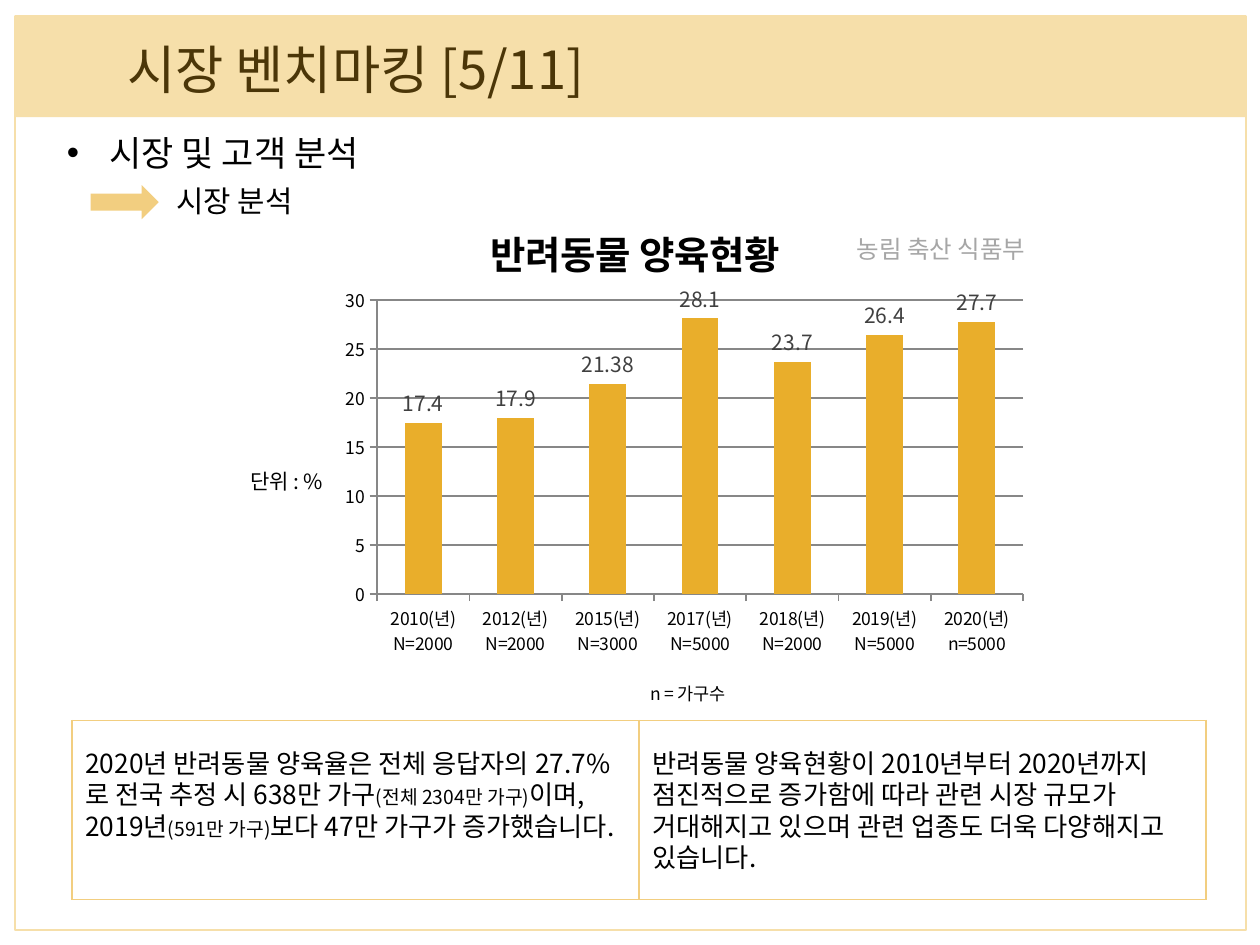
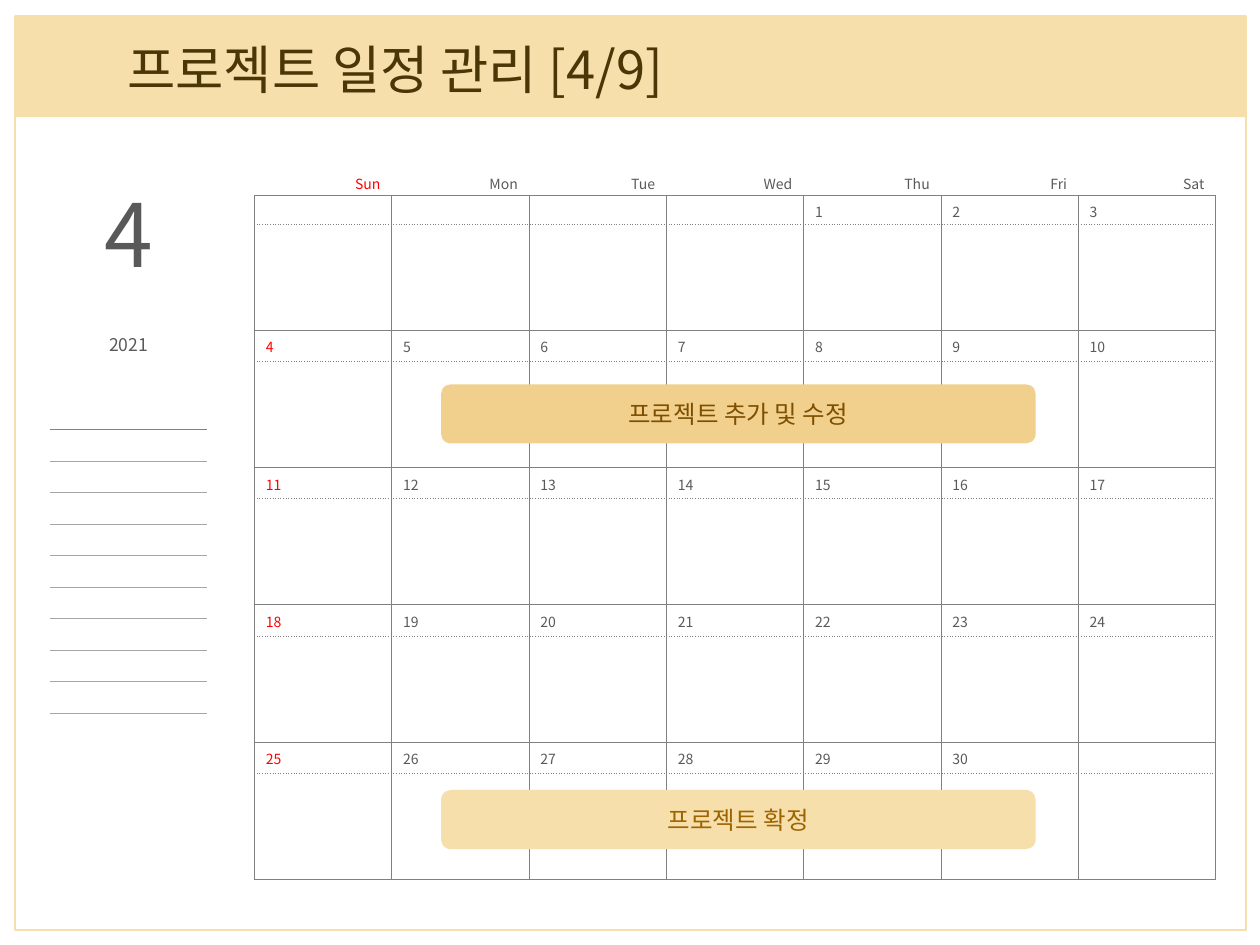
import pptx
import pptx.chart.data
import pptx.dml.color
import pptx.enum.chart
import pptx.enum.shapes
import pptx.enum.text
import pptx.oxml
import pptx.oxml.ns
import pptx.util
from lxml import etree

Inches = pptx.util.Inches
Pt = pptx.util.Pt
qn = pptx.oxml.ns.qn
SHAPE = pptx.enum.shapes.MSO_SHAPE
ALIGN = pptx.enum.text.PP_ALIGN
ANCHOR = pptx.enum.text.MSO_ANCHOR

FONT = "Noto Sans CJK KR"
COLORS = {
    "band": "F6DFAA",
    "title": "4B3608",
    "gold": "F2CE80",
    "bar": "E9AE2B",
    "edit_bar": "F1D08D",
    "edit_text": "7E4F01",
    "final_text": "9E6401",
    "text": "000000",
    "label": "404040",
    "calendar": "595959",
    "sunday": "FF0000",
    "grid": "808080",
    "rule": "A6A6A6",
    "axis": "878787",
}


def rgb(name):
    return pptx.dml.color.RGBColor.from_string(COLORS[name])


def box(left, top, width, height):
    return Inches(left), Inches(top), Inches(width), Inches(height)


def style_font(font, size, color, bold=False):
    font.name = FONT
    font.size = Pt(size)
    font.bold = bold
    font.color.rgb = rgb(color)


def add_run(paragraph, text, size, color="text", bold=False):
    run = paragraph.add_run()
    run.text = text
    style_font(run.font, size, color, bold)


def add_east_asian_font(element):
    """Give Hangul the same typeface as Latin text."""
    for latin in list(element.iter(qn("a:latin"))):
        east_asian = etree.Element(qn("a:ea"), typeface=FONT)
        latin.addnext(east_asian)


def add_shape(slide, kind, place, fill=None, line=None):
    shape = slide.shapes.add_shape(kind, *box(*place))
    shape.shadow.inherit = False
    if fill:
        shape.fill.solid()
        shape.fill.fore_color.rgb = rgb(fill)
    else:
        shape.fill.background()
    if line:
        shape.line.color.rgb = rgb(line)
        shape.line.width = Pt(1.5)
    else:
        shape.line.fill.background()
    return shape


def add_text(slide, place, runs, align=ALIGN.LEFT, wrap=True):
    """Add a one-paragraph text box from (text, size, color) runs."""
    frame = slide.shapes.add_textbox(*box(*place)).text_frame
    frame.word_wrap = wrap
    paragraph = frame.paragraphs[0]
    paragraph.alignment = align
    for run in runs:
        add_run(paragraph, *run)
    return frame


def place_placeholder(placeholder, place):
    placeholder.left, placeholder.top, placeholder.width, placeholder.height = box(*place)
    frame = placeholder.text_frame
    frame.auto_size = pptx.enum.text.MSO_AUTO_SIZE.NONE
    frame.vertical_anchor = ANCHOR.TOP
    paragraph = frame.paragraphs[0]
    paragraph.alignment = ALIGN.LEFT
    paragraph.space_before = Pt(0)
    return paragraph


def add_framed_slide(deck, layout, title):
    """Add a slide with the heading band, the page frame and its title."""
    slide = deck.slides.add_slide(deck.slide_layouts[layout])
    band = add_shape(slide, SHAPE.RECTANGLE, (0.12, 0.13, 9.77, 0.8), fill="band")
    frame = add_shape(slide, SHAPE.RECTANGLE, (0.12, 0.13, 9.77, 7.25), line="band")
    heading = slide.shapes.title
    for backdrop in (band, frame):
        heading.element.addprevious(backdrop.element)
    add_run(place_placeholder(heading, (0.91, 0.24, 4.72, 0.59)), title, 30, "title")
    return slide


def set_borders(cell, **sides):
    """Draw the named sides (L, R, T, B) as (color, width, dash); hide the others."""
    properties = cell._tc.get_or_add_tcPr()
    for position, side in enumerate("LRTB"):
        line = etree.Element(qn(f"a:ln{side}"))
        if side in sides:
            color, width, dash = sides[side]
            line.set("w", str(Pt(width)))
            fill = etree.SubElement(line, qn("a:solidFill"))
            etree.SubElement(fill, qn("a:srgbClr"), val=COLORS[color])
            etree.SubElement(line, qn("a:prstDash"), val=dash)
        else:
            etree.SubElement(line, qn("a:noFill"))
        properties.insert(position, line)


def add_plain_table(slide, left, top, widths, heights):
    place = box(left, top, sum(widths), sum(heights))
    table = slide.shapes.add_table(len(heights), len(widths), *place).table
    table.first_row = table.horz_banding = False
    for column, width in zip(table.columns, widths):
        column.width = Inches(width)
    for row, height in zip(table.rows, heights):
        row.height = Inches(height)
    for cell in table.iter_cells():
        cell.fill.background()
        cell.margin_left = cell.margin_right = Inches(0.09)
        cell.margin_top, cell.margin_bottom = Inches(0.05), 0
        paragraph = cell.text_frame.paragraphs[0]._p
        etree.SubElement(paragraph, qn("a:endParaRPr"), sz="800")
    return table


def set_layout(element, x, y, w=None, h=None):
    """Fix a chart part at fractions of the chart area."""
    for old in element.findall(qn("c:layout")):
        element.remove(old)
    layout = etree.Element(qn("c:layout"))
    manual = etree.SubElement(layout, qn("c:manualLayout"))
    if w:
        etree.SubElement(manual, qn("c:layoutTarget"), val="inner")
    for mode in ("xMode", "yMode"):
        etree.SubElement(manual, qn(f"c:{mode}"), val="edge")
    for name, value in (("x", x), ("y", y), ("w", w), ("h", h)):
        if value:
            etree.SubElement(manual, qn(f"c:{name}"), val=str(value))
    element.insert(0 if element.find(qn("c:tx")) is None else 1, layout)


def write_chart_title(title, text, size, x, y, bold=False):
    frame = title.text_frame
    add_run(frame.paragraphs[0], text, size, bold=bold)
    frame._txBody.bodyPr.set("rot", "0")
    set_layout(title.element, x, y)


def style_axis(axis):
    axis.major_tick_mark = pptx.enum.chart.XL_TICK_MARK.OUTSIDE
    axis.minor_tick_mark = pptx.enum.chart.XL_TICK_MARK.NONE
    axis.format.line.color.rgb = rgb("axis")
    axis.format.line.width = Pt(1)


def add_pet_chart(slide):
    surveys = [
        ("2010(년) N=2000", 17.4), ("2012(년) N=2000", 17.9),
        ("2015(년) N=3000", 21.38), ("2017(년) N=5000", 28.1),
        ("2018(년) N=2000", 23.7), ("2019(년) N=5000", 26.4),
        ("2020(년) n=5000", 27.7),
    ]
    data = pptx.chart.data.CategoryChartData()
    data.categories = [survey for survey, _ in surveys]
    data.add_series("Series 1", [share for _, share in surveys])
    chart = slide.shapes.add_chart(
        pptx.enum.chart.XL_CHART_TYPE.COLUMN_CLUSTERED, *box(1.76, 1.43, 6.49, 4.32), data
    ).chart
    style_font(chart.font, 10, "text")
    chart.has_legend = False
    write_chart_title(chart.chart_title, "반려동물 양육현황", 22, 0.32, 0.06, bold=True)

    years, shares = chart.category_axis, chart.value_axis
    for axis in (years, shares):
        style_axis(axis)
    write_chart_title(years.axis_title, "n = 가구수", 10, 0.52, 0.91)
    write_chart_title(shares.axis_title, "단위 : %", 12, 0.03, 0.51)
    shares.minimum_scale, shares.maximum_scale, shares.major_unit = 0, 30, 5
    gridlines = shares.major_gridlines.format.line
    gridlines.color.rgb = rgb("axis")
    gridlines.width = Pt(1)

    plot = chart.plots[0]
    plot.gap_width = 150
    plot.vary_by_categories = False
    bars = plot.series[0].format.fill
    bars.solid()
    bars.fore_color.rgb = rgb("bar")
    plot.has_data_labels = True
    labels = plot.data_labels
    labels.show_value = True
    labels.position = pptx.enum.chart.XL_LABEL_POSITION.OUTSIDE_END
    style_font(labels.font, 12, "label")
    set_layout(chart.element.find(".//" + qn("c:plotArea")), 0.19, 0.22, 0.79, 0.54)
    add_east_asian_font(chart.element)


def add_bullet_heading(slide, text):
    body = slide.placeholders[1]
    paragraph = place_placeholder(body, (0.43, 0.99, 2.59, 0.43))
    body.text_frame.word_wrap = False
    properties = paragraph._p.get_or_add_pPr()
    properties.set("marL", str(Inches(0.34)))
    properties.set("indent", str(Inches(-0.34)))
    etree.SubElement(properties, qn("a:buFont"), typeface="Arial")
    etree.SubElement(properties, qn("a:buChar"), char="•")
    add_run(paragraph, text, 20)


def add_findings(slide):
    outline = add_plain_table(slide, 0.57, 5.72, [4.5, 4.5], [1.42])
    for cell in outline.iter_cells():
        set_borders(cell, **dict.fromkeys("LRTB", ("gold", 1, "solid")))
    findings = [
        [
            ("2020년 반려동물 양육율은 전체 응답자의 27.7%로 전국 추정 시 638만 가구", 15),
            ("(전체 2304만 가구)", 11),
            ("이며, 2019년", 15),
            ("(591만 가구)", 11),
            ("보다 47만 가구가 증가했습니다.", 15),
        ],
        [("반려동물 양육현황이 2010년부터 2020년까지 점진적으로 증가함에 따라 관련 시장 "
          "규모가 거대해지고 있으며 관련 업종도 더욱 다양해지고 있습니다.", 15)],
    ]
    for column, runs in enumerate(findings):
        add_text(slide, (0.58 + 4.5 * column, 5.88, 4.5, 1.1), runs)


def add_calendar(slide):
    solid, dotted = ("grid", 0.5, "solid"), ("grid", 0.5, "sysDot")
    heights = [0.23, 0.23, 0.84] + [0.25, 0.84] * 4
    table = add_plain_table(slide, 2.02, 1.32, [1.09] * 7, heights)
    for column, weekday in enumerate(["Sun", "Mon", "Tue", "Wed", "Thu", "Fri", "Sat"]):
        color = "calendar" if column else "sunday"
        header = table.cell(0, column)
        set_borders(header, B=solid)
        paragraph = header.text_frame.paragraphs[0]
        paragraph.alignment = ALIGN.RIGHT
        add_run(paragraph, weekday, 8, color)
        for week in range(5):
            date, space = (table.cell(2 * week + row, column) for row in (1, 2))
            set_borders(date, L=solid, R=solid, T=solid, B=dotted)
            set_borders(space, L=solid, R=solid, T=dotted, B=solid)
            day = 7 * week + column - 3
            if 1 <= day <= 30:
                add_run(date.text_frame.paragraphs[0], str(day), 8, color)


def add_month(slide):
    frame = add_text(slide, (0.51, 0.96, 1.02, 1.85), [("4", 50, "calendar")], ALIGN.CENTER)
    year = frame.add_paragraph()
    year.alignment = ALIGN.CENTER
    year.space_before = Pt(22)
    add_run(year, "2021", 10, "calendar")
    for paragraph in frame.paragraphs:
        paragraph.line_spacing = 1.5


def add_memo_lines(slide):
    rule = ("rule", 0.5, "solid")
    table = add_plain_table(slide, 0.4, 3.41, [1.24], [0.25] * 10)
    for row in range(10):
        sides = {"T": rule if row else ("grid", 0.5, "solid")}
        if row < 9:
            sides["B"] = rule
        set_borders(table.cell(row, 0), **sides)


def add_task(slide, top, text, fill, color):
    task = add_shape(slide, SHAPE.ROUNDED_RECTANGLE, (3.5, top, 4.72, 0.47), fill)
    task.text_frame.vertical_anchor = ANCHOR.MIDDLE
    paragraph = task.text_frame.paragraphs[0]
    paragraph.alignment = ALIGN.CENTER
    add_run(paragraph, text, 14, color)


def main():
    deck = pptx.Presentation()
    deck.slide_width, deck.slide_height = Inches(10), Inches(7.5)

    market = add_framed_slide(deck, 1, "시장 벤치마킹 [5/11]")
    add_bullet_heading(market, "시장 및 고객 분석")
    add_pet_chart(market)
    add_shape(market, SHAPE.RIGHT_ARROW, (0.72, 1.47, 0.54, 0.27), "gold")
    add_findings(market)
    add_text(market, (5.43, 1.81, 2.81, 1.08), [("농림 축산 식품부", 14, "rule")], ALIGN.RIGHT)
    add_text(market, (1.3, 1.4, 1.14, 0.38), [("시장 분석", 17)], wrap=False)

    schedule = add_framed_slide(deck, 5, "프로젝트 일정 관리 [4/9]")
    add_calendar(schedule)
    add_month(schedule)
    add_memo_lines(schedule)
    add_task(schedule, 6.27, "프로젝트 확정", "band", "final_text")
    add_task(schedule, 3.05, "프로젝트 추가 및 수정", "edit_bar", "edit_text")

    for slide in deck.slides:
        add_east_asian_font(slide.element)
    deck.save("out.pptx")


if __name__ == "__main__":
    main()
